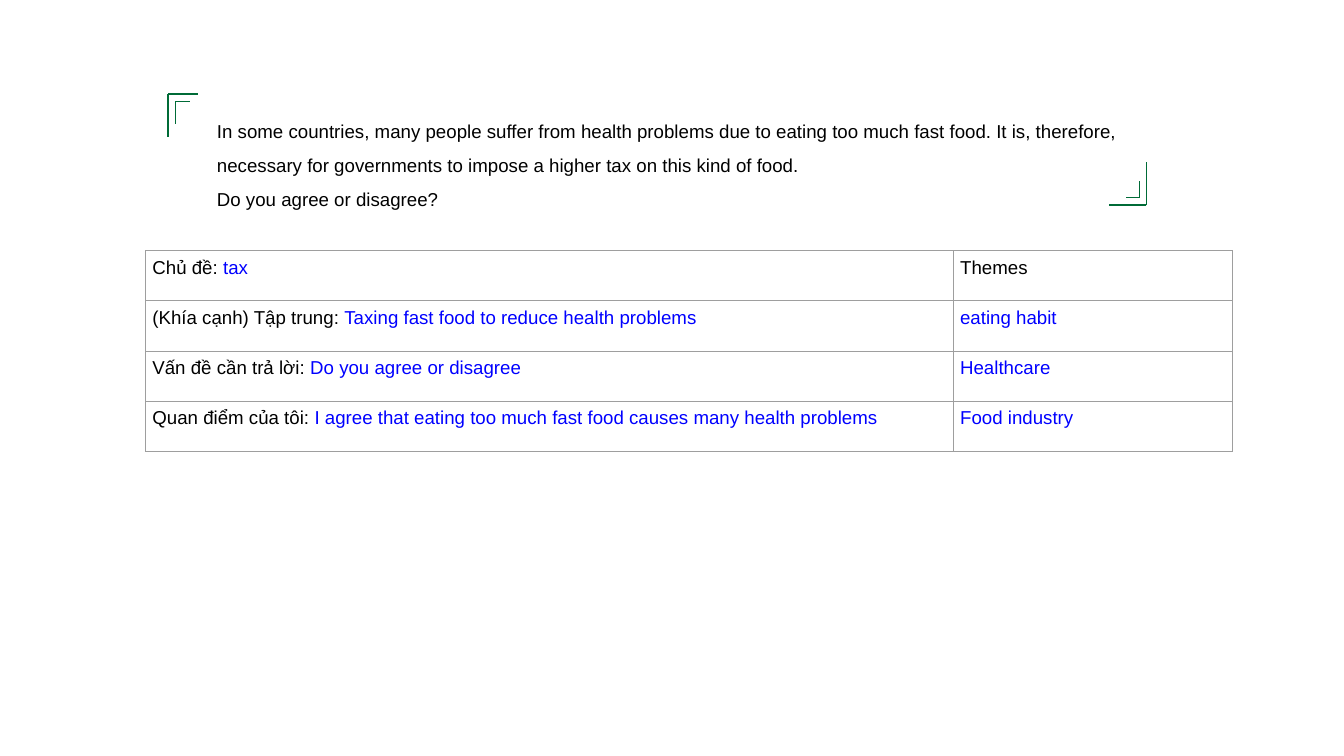
from typing import NamedTuple

from lxml import etree
from pptx import Presentation
from pptx.dml.color import RGBColor
from pptx.enum.shapes import MSO_CONNECTOR
from pptx.enum.text import MSO_ANCHOR
from pptx.oxml.ns import qn
from pptx.util import Cm, Pt

STRAIGHT = MSO_CONNECTOR.STRAIGHT
MIDDLE = MSO_ANCHOR.MIDDLE

BLACK = RGBColor(0x00, 0x00, 0x00)
BLUE = RGBColor(0x00, 0x00, 0xFF)
GREEN = RGBColor(0x00, 0x6B, 0x37)
GREY = RGBColor(0x9E, 0x9E, 0x9E)

FONT = "Arial"
INSET = Cm(0.25)


class Corner(NamedTuple):
    """Corner point in cm, with signed lengths of its two arms."""
    x: float
    y: float
    across: float
    down: float


class Row(NamedTuple):
    label: str
    answer: str
    theme: str
    theme_color: RGBColor = BLUE


BRACKETS = [
    [Corner(6.35, 3.56, 1.12, 1.63), Corner(6.63, 3.84, 0.56, 0.86)],
    [Corner(43.33, 7.75, -1.42, -1.63), Corner(43.08, 7.47, -0.53, -0.64)],
]

QUESTION = [
    "In some countries, many people suffer from health problems due to eating too much "
    "fast food. It is, therefore, necessary for governments to impose a higher tax on "
    "this kind of food.",
    "Do you agree or disagree?",
]

ROWS = [
    Row("Chủ đề: ", "tax", "Themes", BLACK),
    Row("(Khía cạnh) Tập trung: ", "Taxing fast food to reduce health problems",
        "eating habit"),
    Row("Vấn đề cần trả lời: ", "Do you agree or disagree", "Healthcare"),
    Row("Quan điểm của tôi: ",
        "I agree that eating too much fast food causes many health problems",
        "Food industry"),
]
COLUMN_WIDTHS = [30.53, 10.52]
ROW_HEIGHT = 1.9


def add_text(p, text: str, *, color: RGBColor = BLACK, size: float = 20) -> None:
    r = p.add_run()
    r.text = text
    r.font.name = FONT
    r.font.size = Pt(size)
    r.font.color.rgb = color


def set_insets(frame) -> None:
    """Give a cell or a text frame the same margin on all sides."""
    frame.margin_left = frame.margin_right = INSET
    frame.margin_top = frame.margin_bottom = INSET


def format_cell(cell) -> None:
    """Clear the fill, set the margins and draw thin grey borders."""
    cell.fill.background()
    set_insets(cell)
    tc_pr = cell._tc.get_or_add_tcPr()
    for i, side in enumerate(("a:lnL", "a:lnR", "a:lnT", "a:lnB")):
        ln = etree.Element(qn(side), w=str(Pt(0.75)))
        fill = etree.SubElement(ln, qn("a:solidFill"))
        etree.SubElement(fill, qn("a:srgbClr"), val=str(GREY))
        tc_pr.insert(i, ln)


def add_table(s) -> None:
    frame = s.shapes.add_table(len(ROWS), len(COLUMN_WIDTHS), Cm(5.51), Cm(9.47),
                               Cm(sum(COLUMN_WIDTHS)), Cm(ROW_HEIGHT * len(ROWS)))
    table = frame.table
    table.first_row = table.horz_banding = False
    for column, width in zip(table.columns, COLUMN_WIDTHS):
        column.width = Cm(width)
    for i, row in enumerate(ROWS):
        table.rows[i].height = Cm(ROW_HEIGHT)
        topic, theme = table.cell(i, 0), table.cell(i, 1)
        format_cell(topic)
        format_cell(theme)
        p = topic.text_frame.paragraphs[0]
        add_text(p, row.label)
        add_text(p, row.answer, color=BLUE)
        add_text(theme.text_frame.paragraphs[0], row.theme, color=row.theme_color)


def add_question(s) -> None:
    tf = s.shapes.add_textbox(Cm(7.95), Cm(3.89), Cm(34.67), Cm(4.27)).text_frame
    tf.word_wrap = True
    tf.vertical_anchor = MIDDLE
    set_insets(tf)
    for i, text in enumerate(QUESTION):
        p = tf.add_paragraph() if i else tf.paragraphs[0]
        p.line_spacing = 1.5
        add_text(p, text)


def add_line(shapes, x1: float, y1: float, x2: float, y2: float) -> None:
    line = shapes.add_connector(STRAIGHT, Cm(x1), Cm(y1), Cm(x2), Cm(y2))
    line.line.color.rgb = GREEN
    line.line.width = Pt(1.5)
    etree.SubElement(line._element.spPr, qn("a:effectLst"))


def add_bracket(s, corners: list[Corner]) -> None:
    group = s.shapes.add_group_shape()
    for c in corners:
        add_line(group.shapes, c.x, c.y, c.x, c.y + c.down)
        add_line(group.shapes, c.x, c.y, c.x + c.across, c.y)


def main() -> None:
    prs = Presentation()
    prs.slide_width, prs.slide_height = Cm(50.8), Cm(28.58)
    s = prs.slides.add_slide(prs.slide_layouts[6])
    add_table(s)
    add_question(s)
    for corners in BRACKETS:
        add_bracket(s, corners)
    prs.save("out.pptx")


if __name__ == "__main__":
    main()
